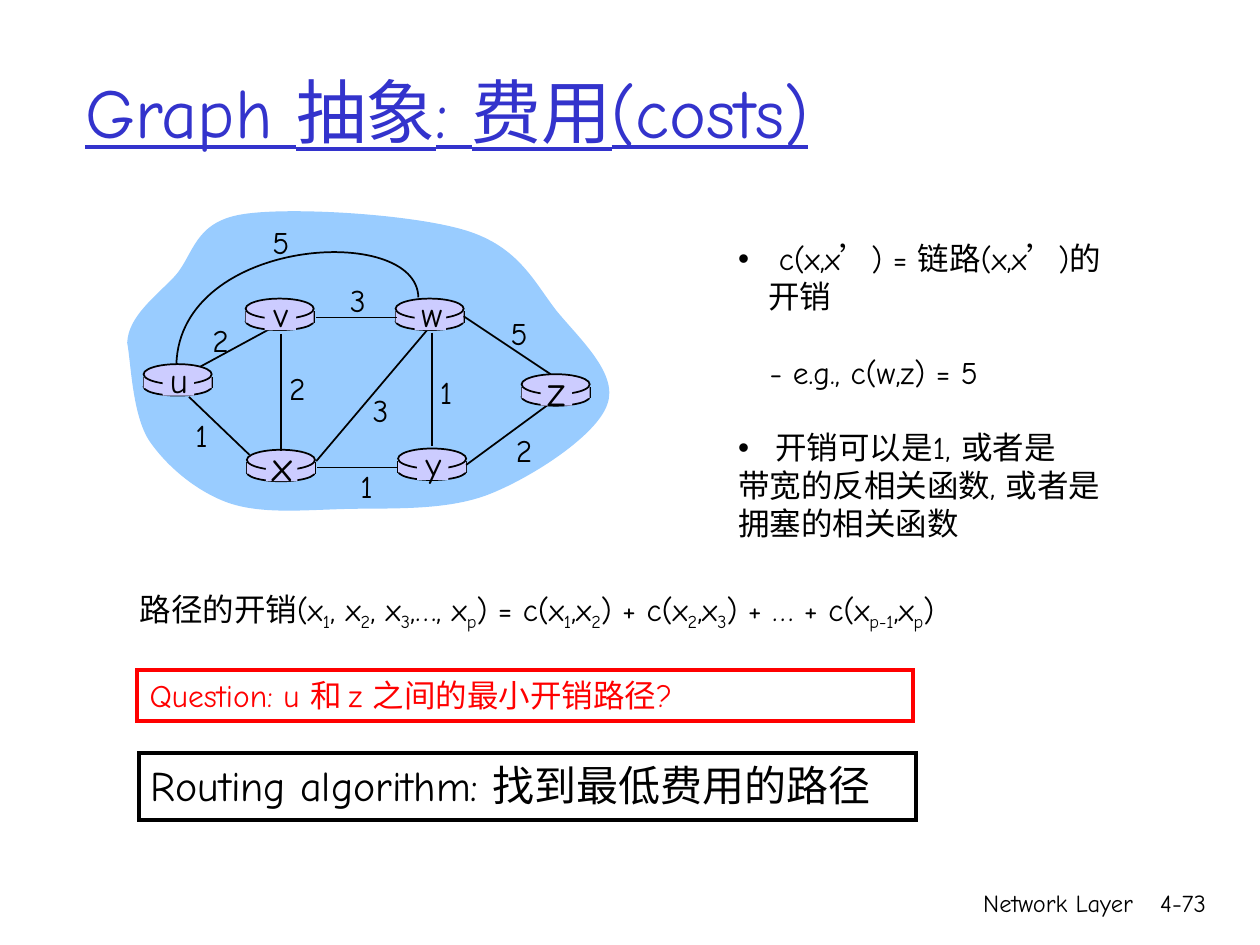
from typing import NamedTuple

from lxml import etree
from pptx import Presentation
from pptx import util as u
from pptx.dml.color import RGBColor
from pptx.enum import shapes, text
from pptx.oxml import ns

FONT = "Comic Neue"
BLACK, RED, BLUE = "000000", "FF0000", "3333CC"
CLOUD, ROUTER = "99CCFF", "CCCCFF"
RECT, OVAL = shapes.MSO_SHAPE.RECTANGLE, shapes.MSO_SHAPE.OVAL
LEFT, CENTER, RIGHT = text.PP_ALIGN.LEFT, text.PP_ALIGN.CENTER, text.PP_ALIGN.RIGHT
TOP, MIDDLE = text.MSO_ANCHOR.TOP, text.MSO_ANCHOR.MIDDLE
ROUTER_W = 0.54


class Box(NamedTuple):
    x: float
    y: float
    w: float
    h: float


class Point(NamedTuple):
    x: float
    y: float


class Router(NamedTuple):
    name: str
    x: float
    y: float
    size: int = 20


class Link(NamedTuple):
    start: Point
    end: Point
    cost: str
    label: Point


class Note(NamedTuple):
    words: str
    bullet: bool = False
    margin: float = 0
    gap: float = 0


ROUTERS = [Router("u", 1.14, 2.89), Router("x", 1.96, 3.57, 24), Router("v", 1.95, 2.37),
           Router("w", 3.14, 2.37), Router("y", 3.16, 3.56), Router("z", 4.14, 2.97, 24)]

LINKS = [
    Link(Point(1.59, 2.91), Point(2.18, 2.59), "2", Point(1.75, 2.7)),
    Link(Point(2.23, 2.65), Point(2.23, 3.58), "2", Point(2.36, 3.08)),
    Link(Point(1.5, 3.15), Point(1.98, 3.61), "1", Point(1.6, 3.45)),
    Link(Point(2.51, 3.66), Point(3.39, 2.62), "3", Point(3.02, 3.25)),
    Link(Point(2.52, 3.71), Point(3.16, 3.71), "1", Point(2.91, 3.86)),
    Link(Point(3.43, 2.64), Point(3.43, 3.54), "1", Point(3.54, 3.11)),
    Link(Point(3.7, 3.69), Point(4.34, 3.22), "2", Point(4.16, 3.57)),
    Link(Point(3.68, 2.51), Point(4.37, 2.97), "5", Point(4.12, 2.64)),
    Link(Point(2.51, 2.52), Point(3.15, 2.52), "3", Point(2.84, 2.38)),
]

# Each curve is a start point followed by three points per cubic segment.
CLOUD_CURVE = [
    (1.01, 2.72), (1.02, 2.51), (1.23, 2.36), (1.39, 2.19), (1.54, 2.02), (1.54, 1.76),
    (1.93, 1.7), (2.31, 1.64), (3.28, 1.7), (3.7, 1.83), (4.12, 1.96), (4.24, 2.24),
    (4.42, 2.47), (4.61, 2.7), (4.91, 2.97), (4.82, 3.21), (4.74, 3.45), (4.24, 3.78),
    (3.89, 3.92), (3.54, 4.06), (3.08, 4.03), (2.73, 4.04), (2.39, 4.05), (2.07, 4.08),
    (1.81, 3.99), (1.56, 3.9), (1.32, 3.7), (1.18, 3.49), (1.05, 3.28), (1.04, 2.88),
    (1.01, 2.72)]
UW_CURVE = [(3.32, 2.36), (3.31, 1.77), (1.43, 1.88), (1.4, 2.89)]

NOTES = [Note(" c(x,x’) = 链路(x,x’)的开销", bullet=True, margin=0.24),
         Note("- e.g., c(w,z) = 5", margin=0.25, gap=21.6),
         Note(" 开销可以是1, 或者是", bullet=True, margin=0.24, gap=21.6),
         Note("带宽的反相关函数, 或者是"), Note("拥塞的相关函数")]

PATH_COST = ("路径的开销(x", "1", ", x", "2", ", x", "3", ",…, x", "p", ") = c(x", "1", ",x", "2",
             ") + c(x", "2", ",x", "3", ") + … + c(x", "p-1", ",x", "p", ")")


def rgb(color: str) -> RGBColor:
    return RGBColor.from_string(color)


def paint(s, fill: str | None = None, line: str | None = None, width: float = 1) -> None:
    s.shadow.inherit = False
    if fill:
        s.fill.solid()
        s.fill.fore_color.rgb = rgb(fill)
    else:
        s.fill.background()
    if line:
        s.line.color.rgb = rgb(line)
        s.line.width = u.Pt(width)
        etree.SubElement(s.line._get_or_add_ln(), ns.qn("a:miter"), lim="800000")
    else:
        s.line.fill.background()


def add_shape(sp, kind, box: Box, **style):
    s = sp.add_shape(kind, *map(u.Inches, box))
    paint(s, **style)
    return s


def add_line(sp, start: Point, end: Point) -> None:
    s = sp.add_connector(shapes.MSO_CONNECTOR.STRAIGHT, *map(u.Inches, (*start, *end)))
    s.line.color.rgb = rgb(BLACK)
    s.line.width = u.Pt(1)
    etree.SubElement(s._element.spPr, ns.qn("a:effectLst"))


def add_curve(sp, curve: list, closed: bool = False, **style) -> None:
    """Build an outline through the control points, then join each three into a cubic."""
    start, *rest = [tuple(map(u.Inches, p)) for p in curve]
    builder = sp.build_freeform(*start)
    builder.add_line_segments(rest, close=closed)
    s = builder.convert_to_shape()
    sides = list(s._element.iter(ns.qn("a:lnTo")))
    for i in range(0, len(rest), 3):
        cubic = etree.Element(ns.qn("a:cubicBezTo"))
        sides[i].addprevious(cubic)
        for side in sides[i:i + 3]:
            cubic.append(side[0])
            side.getparent().remove(side)
    paint(s, **style)


def style_paragraph(p, size: float, color: str = BLACK, align=LEFT) -> None:
    p.alignment = align
    p.font.name = FONT
    p.font.size = u.Pt(size)
    p.font.color.rgb = rgb(color)


def write(s, words: str, size: float, color: str = BLACK, align=LEFT, anchor=TOP, wrap=True):
    tf = s.text_frame
    tf.word_wrap = wrap
    tf.vertical_anchor = anchor
    p = tf.paragraphs[0]
    p.text = words
    style_paragraph(p, size, color, align)
    return p


def add_text(sp, box: Box, words: str, size: float, **style):
    return write(sp.add_textbox(*map(u.Inches, box)), words, size, **style)


def add_label(sp, center: Point, words: str, size: float) -> None:
    w, h = 0.35, 0.4
    add_text(sp, Box(center.x - w / 2, center.y - h / 2, w, h), words, size,
             align=CENTER, anchor=MIDDLE, wrap=False)


def add_router(sp, router: Router) -> None:
    x, y = router.x, router.y
    side = y + 0.1
    add_shape(sp, OVAL, Box(x, y + 0.11, ROUTER_W, 0.14), fill=ROUTER, line=BLACK)
    for edge in (x, x + ROUTER_W):
        add_line(sp, Point(edge, side), Point(edge, side + 0.09))
    add_shape(sp, RECT, Box(x, side, ROUTER_W, 0.09), fill=ROUTER)
    add_shape(sp, OVAL, Box(x, y, ROUTER_W, 0.16), fill=ROUTER, line=BLACK)


def add_router_name(sp, router: Router) -> None:
    add_shape(sp, RECT, Box(router.x + 0.15, router.y + 0.02, 0.25, 0.23), fill=ROUTER)
    add_label(sp, Point(router.x + 0.28, router.y + 0.12), router.name, router.size)


def add_notes(sp) -> None:
    tf = sp.add_textbox(*map(u.Inches, (5.76, 1.85, 3.22, 2.22))).text_frame
    tf.word_wrap = True
    for i, note in enumerate(NOTES):
        p = tf.add_paragraph() if i else tf.paragraphs[0]
        p.text = note.words
        style_paragraph(p, 18)
        p.space_before = u.Pt(note.gap)
        props = p._p.get_or_add_pPr()
        props.set("marL", str(u.Inches(note.margin)))
        props.set("indent", str(-u.Inches(note.margin) if note.bullet else 0))
        if note.bullet:
            defaults = props.find(ns.qn("a:defRPr"))
            defaults.addprevious(etree.Element(ns.qn("a:buFont"), typeface="Arial"))
            defaults.addprevious(etree.Element(ns.qn("a:buChar"), char="•"))


def add_path_cost(sp) -> None:
    p = add_text(sp, Box(1.01, 4.63, 7.47, 0.4), "", 18)
    for i, part in enumerate(PATH_COST):
        r = p.add_run()
        r.text = part
        if i % 2:
            r.font._element.set("baseline", "-25000")


def main() -> None:
    prs = Presentation()
    prs.slide_width, prs.slide_height = u.Inches(10), u.Inches(7.5)
    sp = prs.slides.add_slide(prs.slide_layouts[6]).shapes

    add_text(sp, Box(5.92, 7, 3.17, 0.5), "Network Layer", 14, align=RIGHT)
    add_text(sp, Box(8.93, 7, 0.74, 0.5), "4-73", 14, align=RIGHT)
    title = add_text(sp, Box(0.58, 0.25, 8.5, 1.25), "Graph 抽象: 费用(costs)", 40,
                     color=BLUE, anchor=MIDDLE)
    title.font.underline = True

    add_curve(sp, CLOUD_CURVE, closed=True, fill=CLOUD)
    for router in ROUTERS:
        add_router(sp, router)
    for link in LINKS:
        add_line(sp, link.start, link.end)
    add_curve(sp, UW_CURVE, line=BLACK)
    for router in ROUTERS:
        add_router_name(sp, router)
    for link in LINKS:
        add_label(sp, link.label, link.cost, 18)
    add_label(sp, Point(2.23, 1.92), "5", 18)

    add_notes(sp)
    add_path_cost(sp)
    question = add_shape(sp, RECT, Box(1.09, 5.32, 6.16, 0.4), line=RED, width=2.25)
    write(question, "Question: u 和 z 之间的最小开销路径?", 18, color=RED)
    routing = add_shape(sp, RECT, Box(1.1, 5.98, 6.17, 0.53), line=BLACK, width=2.25)
    write(routing, "Routing algorithm: 找到最低费用的路径", 24)
    prs.save("out.pptx")


if __name__ == "__main__":
    main()
